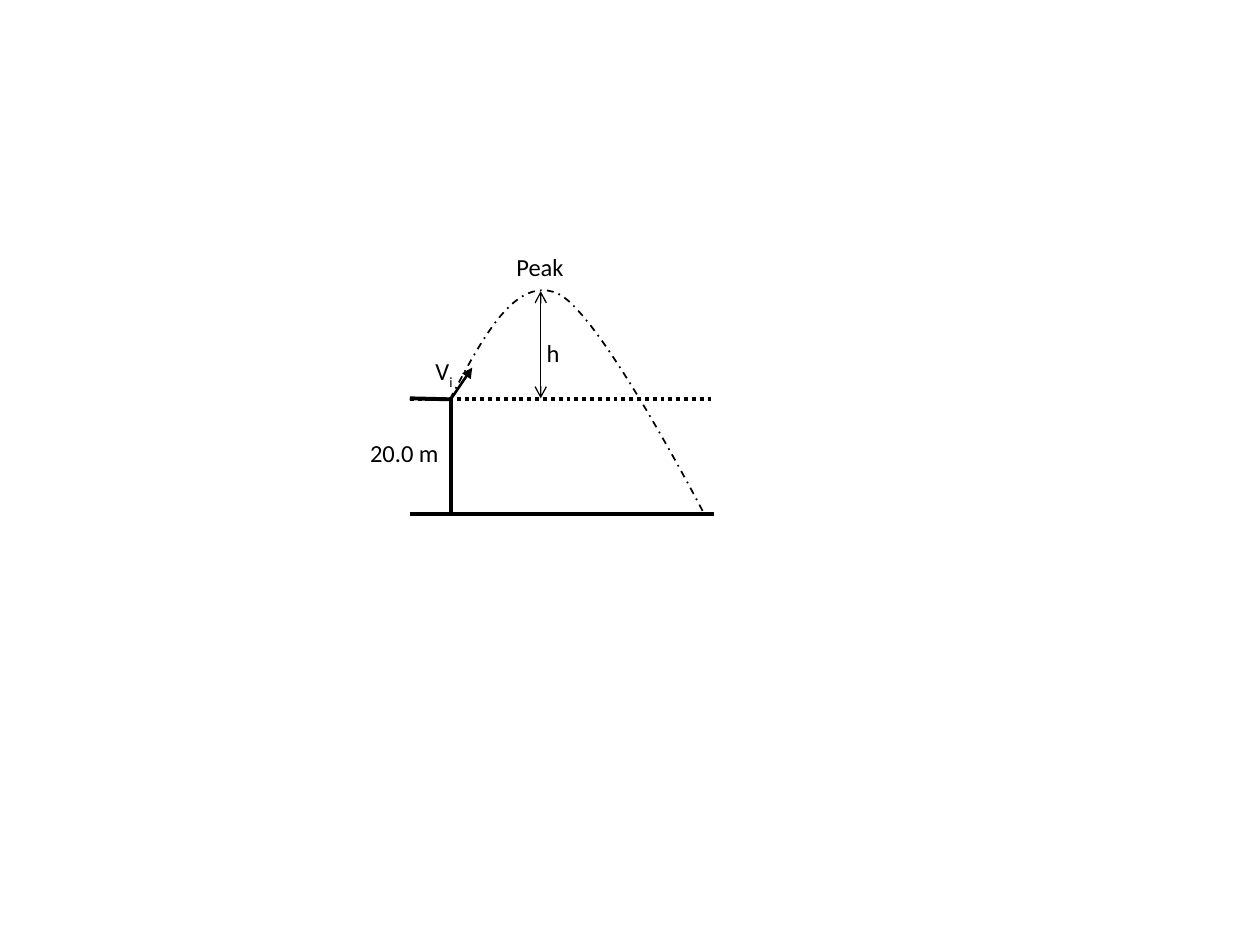
"""Draw the path of a projectile launched from a 20.0 m cliff."""
from lxml import etree
from pptx import Presentation
from pptx.dml.color import RGBColor
from pptx.enum.dml import MSO_LINE
from pptx.enum.shapes import MSO_CONNECTOR
from pptx.enum.text import MSO_AUTO_SIZE
from pptx.oxml.ns import qn
from pptx.util import Cm, Pt

STRAIGHT = MSO_CONNECTOR.STRAIGHT
DOTTED = MSO_LINE.ROUND_DOT
DASH_DOT = MSO_LINE.DASH_DOT
FIT_SHAPE = MSO_AUTO_SIZE.SHAPE_TO_FIT_TEXT
BLACK = "000000"
STEPS = 24


def color(hex_code):
    return RGBColor.from_string(hex_code)


def set_stroke(line, width, dash=None):
    line.color.rgb = color(BLACK)
    line.width = Pt(width)
    if dash is not None:
        line.dash_style = dash


prs = Presentation()
prs.slide_width, prs.slide_height = Cm(25.4), Cm(19.05)
slide = prs.slides.add_slide(prs.slide_layouts[6])
diagram = slide.shapes.add_group_shape().shapes

left, right, cliff, peak = 8.26, 14.4, 9.1, 10.9
top, launch, ground, apex = 8.03, 8.05, 10.36, 5.87

straight_lines = [
    (left, launch, right, launch, 2.25, DOTTED, {}),
    (left, ground, right, ground, 2.25, None, {}),
    (cliff, ground, cliff, launch, 2.25, None, {}),
    (left, top, cliff, launch, 2.25, None, {}),
    (cliff, top, 9.52, 7.41, 1.5, None, {"a:tailEnd": "triangle"}),
    (peak, top, peak, apex, 0.75, None, {"a:headEnd": "arrow", "a:tailEnd": "arrow"}),
]
for x1, y1, x2, y2, width, dash, arrowheads in straight_lines:
    segment = diagram.add_connector(STRAIGHT, Cm(x1), Cm(y1), Cm(x2), Cm(y2))
    set_stroke(segment.line, width, dash)
    outline = segment.line._get_or_add_ln()
    for end, head in arrowheads.items():
        etree.SubElement(outline, qn(end), type=head)
    etree.SubElement(segment._element.spPr, qn("a:effectLst"))

bezier_arcs = [
    [(9.07, 8.05), (9.73, 6.81), (10.39, 5.54), (11.25, 5.92)],
    [(11.25, 5.92), (12.09, 6.3), (14.17, 10.31), (14.17, 10.31)],
]
flight_points = []
for arc in bezier_arcs:
    for step in range(1, STEPS + 1):
        t = step / STEPS
        weights = [(1 - t) ** 3, 3 * t * (1 - t) ** 2, 3 * t ** 2 * (1 - t), t ** 3]
        x, y = [sum(w * c for w, c in zip(weights, axis)) for axis in zip(*arc)]
        flight_points.append((Cm(x), Cm(y)))

start_x, start_y = bezier_arcs[0][0]
flight_builder = diagram.build_freeform(Cm(start_x), Cm(start_y))
flight_builder.add_line_segments(flight_points, close=False)
trajectory = flight_builder.convert_to_shape()
trajectory.shadow.inherit = False
trajectory.fill.background()
set_stroke(trajectory.line, 1, DASH_DOT)

labels = [
    ("20.0 m", "", 7.21, 8.71, 1.91),
    ("Peak", "", 10.16, 4.95, 1.47),
    ("h", "", 10.77, 6.68, 0.79),
    ("V", "i", 8.53, 7.06, 0.86),
]
for wording, subscript, x, y, width in labels:
    label = diagram.add_textbox(Cm(x), Cm(y), Cm(width), Cm(0.86))
    label.text_frame.word_wrap = False
    label.text_frame.auto_size = FIT_SHAPE
    paragraph = label.text_frame.paragraphs[0]
    paragraph.font.name = "Calibri"
    paragraph.font.size = Pt(14)
    paragraph.font.color.rgb = color(BLACK)
    paragraph.add_run().text = wording
    if subscript:
        index = paragraph.add_run()
        index.text = subscript
        index.font._element.set("baseline", "-25000")

prs.save("out.pptx")
